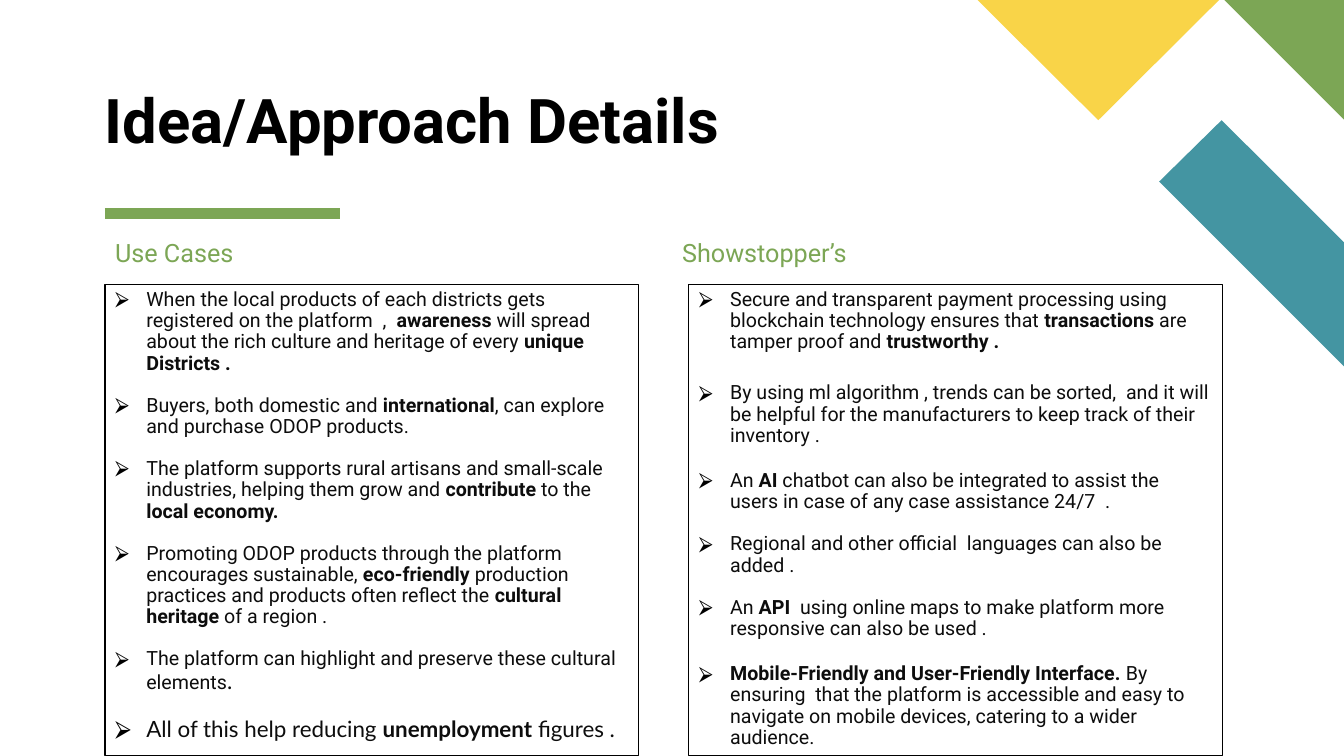
from dataclasses import dataclass

from lxml.etree import SubElement
from pptx import Presentation
from pptx.dml.color import RGBColor
from pptx.enum.text import MSO_ANCHOR as Anchor, MSO_AUTO_SIZE as AutoSize, PP_ALIGN as Align
from pptx.oxml.ns import qn
from pptx.util import Inches, Pt

COLORS = {
    "green": "7CA655", "teal": "4495A2", "yellow": "F9D448",
    "black": "000000", "ink": "0D0D0D",
}
COLUMNS, ROWS = 128, 72
COMPARISON_LAYOUT = 4


@dataclass
class Item:
    """A bullet; asterisks enclose bold words, and gap is the space before in points."""
    text: str
    gap: float = 15
    size: int = 14
    font: str = "Roboto"
    tail: str = ""


USE_CASES = [
    Item("When the local products of each districts gets registered on the platform  , "
         "* awareness *will spread about the rich culture and heritage of every "
         "*unique Districts .*", gap=0),
    Item("Buyers, both domestic and *international*, can explore and purchase ODOP products."),
    Item("The platform supports rural artisans and small-scale industries, helping them "
         "grow and *contribute* to the *local economy.*"),
    Item("Promoting ODOP products through the platform encourages sustainable, "
         "*eco-friendly *production practices and products often reflect the "
         "*cultural heritage* of a region ."),
    Item("The platform can highlight and preserve these cultural elements", tail="."),
    Item("All of this help reducing *unemployment* figures .", gap=17.3, size=16, font="Lato"),
]
SHOWSTOPPERS = [
    Item("Secure and transparent payment processing using blockchain technology ensures "
         "that *transactions* are tamper proof and *trustworthy .*", gap=0),
    Item("By using ml algorithm , trends can be sorted,  and it will be helpful for the "
         "manufacturers to keep track of their inventory .", gap=21.3),
    Item("An *AI* chatbot can also be integrated to assist the users in case of any case "
         "assistance 24/7  .", gap=17.2),
    Item("Regional and other official  languages can also be added ."),
    Item("An *API * using online maps to make platform more responsive can also be used ."),
    Item("*Mobile-Friendly and User-Friendly Interface. *By ensuring  that the platform is "
         "accessible and easy to navigate on mobile devices, catering to a wider audience.",
         gap=17.2),
]


class SlideBuilder:
    def __init__(self, deck):
        self.column = deck.slide_width / COLUMNS
        self.row = deck.slide_height / ROWS
        self.page = deck.slides.add_slide(deck.slide_layouts[COMPARISON_LAYOUT])

    def color(self, name):
        return RGBColor.from_string(COLORS[name])

    def point(self, column, row):
        return round(column * self.column), round(row * self.row)

    def polygon(self, color, corners):
        points = [self.point(*corner) for corner in corners]
        builder = self.page.shapes.build_freeform(*points[0])
        builder.add_line_segments(points[1:], close=True)
        shape = builder.convert_to_shape()
        shape.shadow.inherit = False
        shape.fill.solid()
        shape.fill.fore_color.rgb = self.color(color)
        shape.line.fill.background()

    def rule(self, color, start, end, width):
        line = self.page.shapes.add_connector(1, *self.point(*start), *self.point(*end))
        line.line.color.rgb = self.color(color)
        line.line.width = Pt(width)
        SubElement(line._element.spPr, qn("a:effectLst"))

    def placeholder(self, index, area, anchor=Anchor.TOP, insets=(0.1, 0.05)):
        box = self.page.placeholders[index]
        box.left, box.top = self.point(*area[:2])
        box.width, box.height = self.point(*area[2:])
        frame = box.text_frame
        frame.word_wrap = True
        frame.auto_size = AutoSize.NONE
        frame.vertical_anchor = anchor
        frame.margin_left = frame.margin_right = Inches(insets[0])
        frame.margin_top = frame.margin_bottom = Inches(insets[1])
        return box

    def style(self, para, size, color, font="Roboto", bold=False, gap=0):
        para.alignment = Align.LEFT
        para.line_spacing = 0.9
        para.space_before = Pt(gap)
        para.space_after = Pt(0)
        para.font.name = font
        para.font.size = Pt(size)
        para.font.bold = bold
        para.font.color.rgb = self.color(color)

    def title(self, text, area):
        box = self.placeholder(0, area, Anchor.BOTTOM, (0, 0))
        box.text_frame.text = text
        self.style(box.text_frame.paragraphs[0], 44, "black", bold=True)

    def heading(self, index, text, area):
        box = self.placeholder(index, area)
        box.text_frame.text = text
        self.style(box.text_frame.paragraphs[0], 18, "green")

    def bullet(self, para):
        props = para._p.get_or_add_pPr()
        props.set("marL", str(Inches(0.31)))
        props.set("indent", str(-Inches(0.31)))
        tint = SubElement(props, qn("a:buClr"))
        SubElement(tint, qn("a:srgbClr"), val=COLORS["black"])
        SubElement(props, qn("a:buChar"), char="⮚")

    def bullet_list(self, index, items, area):
        box = self.placeholder(index, area)
        box.line.color.rgb = self.color("black")
        box.line.width = Pt(0.75)
        frame = box.text_frame
        for number, item in enumerate(items):
            para = frame.add_paragraph() if number else frame.paragraphs[0]
            self.bullet(para)
            self.style(para, item.size, "ink", item.font, gap=item.gap)
            for part, words in enumerate(item.text.split("*")):
                if words:
                    span = para.add_run()
                    span.text = words
                    if part % 2:
                        span.font.bold = True
            if item.tail:
                span = para.add_run()
                span.text = item.tail
                span.font.name = "Lato"
                span.font.size = Pt(16)


def main():
    deck = Presentation()
    deck.slide_width, deck.slide_height = Inches(13.33), Inches(7.5)
    slide = SlideBuilder(deck)

    slide.rule("green", (10, 20.35), (32.4, 20.35), 8)
    slide.polygon("teal", [(128, 34.9), (128, 23.1), (116.35, 11.45), (110.4, 17.3)])
    slide.polygon("green", [(128, 11.4), (128, 0), (116.6, 0)])
    slide.polygon("yellow", [(93.1, 0), (104.6, 11.45), (116.1, 0)])

    slide.title("Idea/Approach Details", (10, 2.9, 60.7, 12))
    slide.heading(1, "Use Cases", (10, 22.4, 50.8, 3.4))
    slide.bullet_list(2, USE_CASES, (10, 27.1, 50.8, 44.9))
    slide.heading(3, "Showstopper’s", (64, 22.4, 54, 3.4))
    slide.bullet_list(4, SHOWSTOPPERS, (65.6, 27.1, 50.8, 44.9))
    deck.save("out.pptx")


if __name__ == "__main__":
    main()
